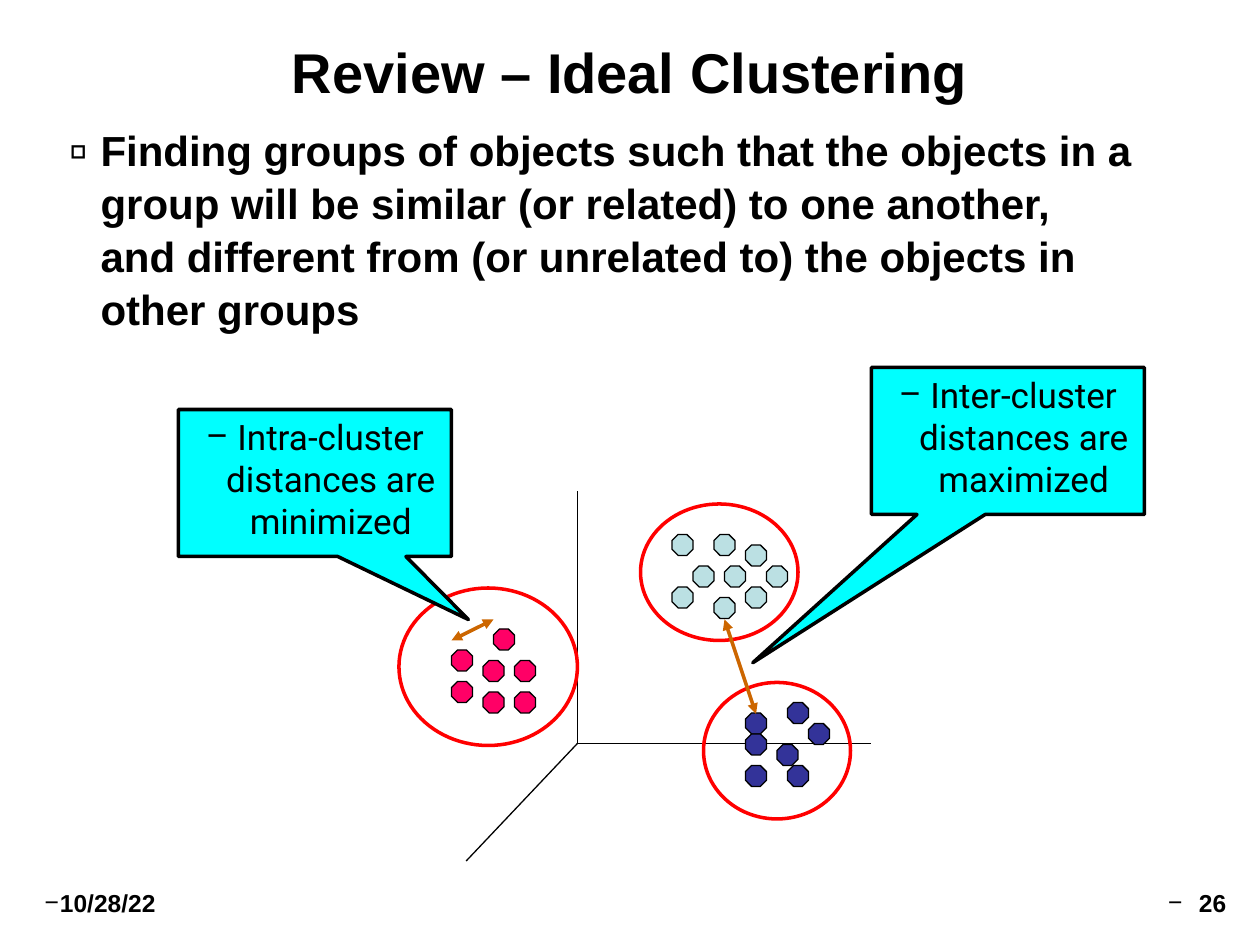
from dataclasses import dataclass

from lxml import etree
from pptx import Presentation
from pptx.dml.color import RGBColor
from pptx.enum.shapes import MSO_CONNECTOR, MSO_SHAPE
from pptx.enum.text import MSO_ANCHOR, PP_ALIGN
from pptx.oxml.ns import qn
from pptx.util import Inches, Pt

STRAIGHT = MSO_CONNECTOR.STRAIGHT
OCTAGON, OVAL = MSO_SHAPE.OCTAGON, MSO_SHAPE.OVAL
CALLOUT = MSO_SHAPE.RECTANGULAR_CALLOUT
TOP, MIDDLE = MSO_ANCHOR.TOP, MSO_ANCHOR.MIDDLE
LEFT, CENTER, RIGHT = PP_ALIGN.LEFT, PP_ALIGN.CENTER, PP_ALIGN.RIGHT
TITLE_ONLY = 5


@dataclass(frozen=True)
class Theme:
    ink: str = "000000"
    callout: str = "00FFFF"
    ring: str = "FF0000"
    distance: str = "CC6600"
    pale: str = "BBE0E3"
    pink: str = "FF0066"
    navy: str = "333399"
    heading_font: str = "Arial"
    callout_font: str = "Roboto"
    title_size: int = 32
    body_size: int = 24
    callout_size: int = 20
    footer_size: int = 14
    thin: float = 0.75
    thick: float = 2


THEME = Theme()

# Marker positions and rings are in columns and rows of the diagram grid.
GRID_COLUMNS, GRID_ROWS = 92, 47
MARKER_SIZE = 2
ROW_SHIFT = -0.1
CLUSTERS = [
    (THEME.pale, (44, 13, 15, 13),
     [(49, 19), (52, 19), (51, 16), (51, 22), (56, 19), (54, 17), (47, 16), (54, 21), (47, 21)]),
    (THEME.pink, (21, 21, 17, 15),
     [(26, 27), (29, 28), (29, 31), (32, 28), (30, 25), (32, 31), (26, 30)]),
    (THEME.navy, (50, 30, 14, 13),
     [(54, 33), (60, 34), (57, 36), (54, 38), (58, 38), (54, 35), (58, 32)]),
]
AXIS_ORIGIN = (38, 35.8)
AXIS_ENDS = [(38, 11.8), (66, 35.8), (27.4, 47)]
DISTANCES = [
    ("Inter-cluster distances are maximized", (66, 0, 26, 14), (-0.935, 1.509), (55, 33), (52, 24)),
    ("Intra-cluster distances are minimized", (0, 4, 26, 14), (0.562, 0.929), (26, 26), (30, 24)),
]


def color(value):
    return RGBColor.from_string(value)


def add_bullet(paragraph, char, indent, size=100):
    properties = paragraph._p.get_or_add_pPr()
    properties.set("marL", str(Inches(indent)))
    properties.set("indent", str(-Inches(indent)))
    etree.SubElement(properties, qn("a:buSzPct"), val=str(size * 1000))
    etree.SubElement(properties, qn("a:buFont"), typeface=THEME.callout_font)
    etree.SubElement(properties, qn("a:buChar"), char=char)


def write(shape, text, size, font=THEME.heading_font, bold=True, align=LEFT,
          anchor=TOP, bullet=None, spacing=None):
    """Fill a shape with one paragraph; bullet holds the arguments of add_bullet."""
    frame = shape.text_frame
    frame.word_wrap = True
    frame.vertical_anchor = anchor
    paragraph = frame.paragraphs[0]
    paragraph.text = text
    paragraph.alignment = align
    if bullet:
        add_bullet(paragraph, *bullet)
    if spacing:
        paragraph.line_spacing = spacing
    for run in paragraph.runs:
        run.font.name = font
        run.font.size = Pt(size)
        run.font.bold = bold
        run.font.color.rgb = color(THEME.ink)


def add_outlined(slide, kind, box, fill, line, width):
    shape = slide.shapes.add_shape(kind, *box)
    shape.shadow.inherit = False
    if fill:
        shape.fill.solid()
        shape.fill.fore_color.rgb = color(fill)
    else:
        shape.fill.background()
    shape.line.color.rgb = color(line)
    shape.line.width = Pt(width)
    return shape


def add_line(slide, start, end, line, width, arrows=False):
    connector = slide.shapes.add_connector(STRAIGHT, *start, *end)
    connector.line.color.rgb = color(line)
    connector.line.width = Pt(width)
    if arrows:
        outline = connector.line._get_or_add_ln()
        for tip in ("a:headEnd", "a:tailEnd"):
            etree.SubElement(outline, qn(tip), type="triangle")
    etree.SubElement(connector._element.spPr, qn("a:effectLst"))


def add_title(slide, box):
    title = slide.shapes.title
    title.left, title.top, title.width, title.height = box
    write(title, "Review – Ideal Clustering", THEME.title_size, align=CENTER, anchor=MIDDLE)


def add_definition(slide, box):
    write(slide.shapes.add_textbox(*box),
          "Finding groups of objects such that the objects in a group will be similar "
          "(or related) to one another,\vand different from (or unrelated to) the objects "
          "in other groups",
          THEME.body_size, bullet=("▫", 0.25, 110), spacing=1.05)


def add_diagram(slide, box):
    left, top, width, height = box

    def point(column, row):
        return (left + round(width * column / GRID_COLUMNS),
                top + round(height * row / GRID_ROWS))

    def area(column, row, columns, rows):
        return (*point(column, row),
                round(width * columns / GRID_COLUMNS), round(height * rows / GRID_ROWS))

    for end in AXIS_ENDS:
        add_line(slide, point(*AXIS_ORIGIN), point(*end), THEME.ink, THEME.thin)
    for fill, _, markers in CLUSTERS:
        for column, row in markers:
            add_outlined(slide, OCTAGON, area(column, row + ROW_SHIFT, MARKER_SIZE, MARKER_SIZE),
                         fill, THEME.ink, THEME.thin)
    for _, ring, _ in CLUSTERS:
        add_outlined(slide, OVAL, area(*ring), None, THEME.ring, THEME.thick)
    for label, label_area, pointer, start, end in DISTANCES:
        add_line(slide, point(*start), point(*end), THEME.distance, THEME.thick, arrows=True)
        callout = add_outlined(slide, CALLOUT, area(*label_area),
                               THEME.callout, THEME.ink, THEME.thick)
        callout.adjustments[0], callout.adjustments[1] = pointer
        write(callout, label, THEME.callout_size, font=THEME.callout_font, bold=False,
              align=CENTER, bullet=("–", 0.25))


def add_footer(slide, box):
    left, top, width, height = box
    part = round(width * 0.28)
    for text, start, align, indent in (("10/28/22", left, LEFT, 0),
                                       ("26", left + width - part, RIGHT, 0.25)):
        write(slide.shapes.add_textbox(start, top, part, height), text,
              THEME.footer_size, align=align, bullet=("–", indent))


def main():
    deck = Presentation()
    deck.slide_width, deck.slide_height = Inches(10), Inches(7.5)
    slide = deck.slides.add_slide(deck.slide_layouts[TITLE_ONLY])

    def region(left, top, width, height):
        """Turn shares of the slide's size into lengths."""
        return (round(deck.slide_width * left), round(deck.slide_height * top),
                round(deck.slide_width * width), round(deck.slide_height * height))

    add_title(slide, region(0.05, 0.04, 0.9, 0.07))
    add_definition(slide, region(0.045, 0.123, 0.91, 0.19))
    add_diagram(slide, region(17 / 120, 35 / 90, GRID_COLUMNS / 120, GRID_ROWS / 90))
    add_footer(slide, region(0.025, 0.933, 0.958, 0.047))
    deck.save("out.pptx")


if __name__ == "__main__":
    main()
